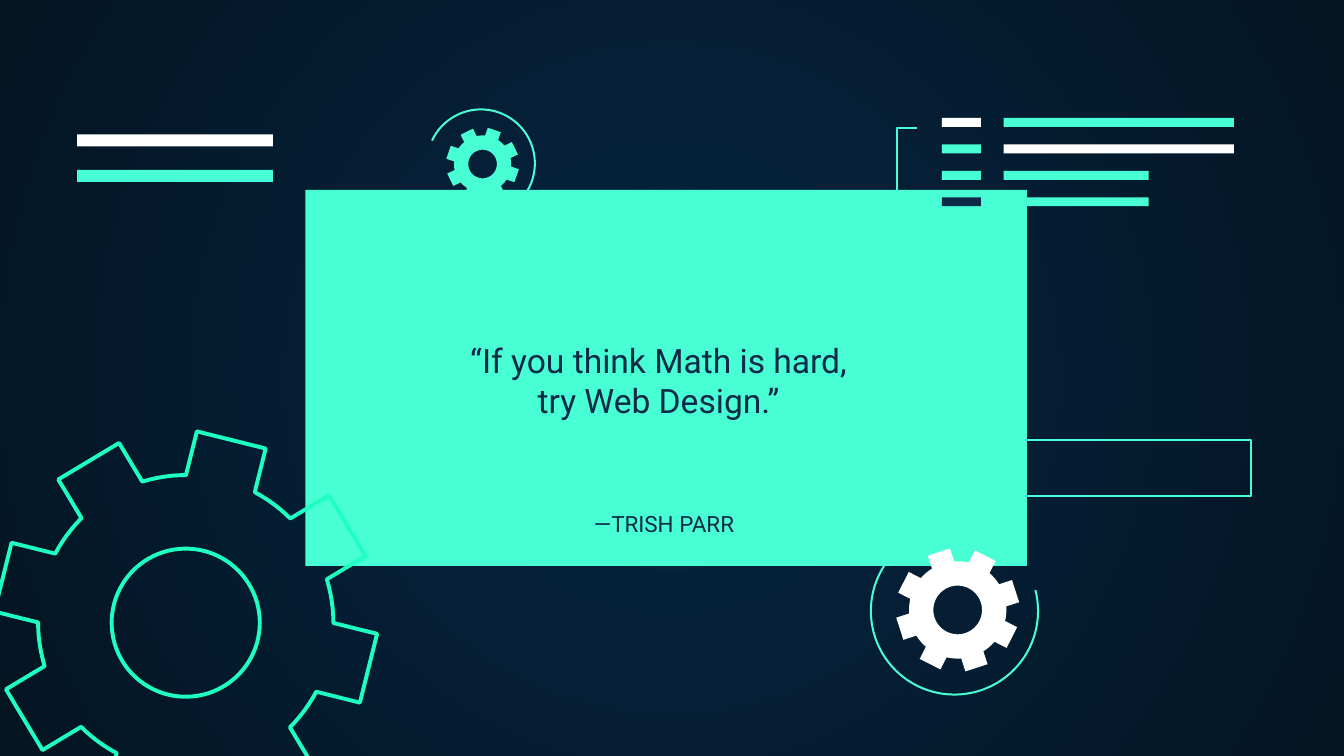
import math

from lxml import etree
from pptx import Presentation, util as u
from pptx.dml.color import RGBColor
from pptx.enum import shapes, text
from pptx.oxml.ns import qn

MINT, WHITE, NAVY, GREEN = "48FFD5", "FFFFFF", "0E2A47", "1EFFC1"
FONT = "Roboto"
THIN = 1.09


def colour(value):
    return RGBColor.from_string(value)


def paint(shape, fill=None, line=None, width=THIN):
    shape.shadow.inherit = False
    if fill:
        shape.fill.solid()
        shape.fill.fore_color.rgb = colour(fill)
    else:
        shape.fill.background()
    if line:
        shape.line.color.rgb = colour(line)
        shape.line.width = u.Pt(width)
    else:
        shape.line.fill.background()


def add_box(slide, left, top, width, height, **style):
    shape = slide.shapes.add_shape(
        shapes.MSO_SHAPE.RECTANGLE, u.Cm(left), u.Cm(top), u.Cm(width), u.Cm(height))
    paint(shape, **style)


def add_outline(slide, contours, close=True, **style):
    contours = [[(u.Cm(x), u.Cm(y)) for x, y in contour] for contour in contours]
    builder = slide.shapes.build_freeform(*contours[0][0], scale=1.0)
    builder.add_line_segments(contours[0][1:], close=close)
    for contour in contours[1:]:
        builder.move_to(*contour[0])
        builder.add_line_segments(contour[1:], close=close)
    paint(builder.convert_to_shape(), **style)


def add_arc(slide, centre_x, centre_y, radius, start, end):
    shape = slide.shapes.add_shape(
        shapes.MSO_SHAPE.ARC, u.Cm(centre_x - radius), u.Cm(centre_y - radius),
        u.Cm(2 * radius), u.Cm(2 * radius))
    # Angles are stored in 60000ths of a degree, adjustments in 100000ths
    shape.adjustments[0] = start * 0.6
    shape.adjustments[1] = end * 0.6
    paint(shape, line=MINT)


def add_gear(slide, centre_x, centre_y, tip, root, hole, tooth, turn, **style):
    """Eight square teeth; tip is the distance to the middle of a tooth's end."""
    def polar(radius, angle):
        return centre_x + radius * math.cos(angle), centre_y + radius * math.sin(angle)

    corner = math.hypot(tip, tooth / 2)
    tip_angle = math.atan2(tooth / 2, tip)
    root_angle = math.asin(tooth / 2 / root)
    gap = math.pi / 4 - 2 * root_angle
    rim = []
    for index in range(8):
        middle = math.radians(turn + 45 * index)
        rim += [polar(corner, middle - tip_angle), polar(corner, middle + tip_angle)]
        rim += [polar(root, middle + root_angle + gap * step / 6) for step in range(7)]
    bore = [polar(hole, -math.radians(4 * step)) for step in range(90)]
    add_outline(slide, [rim, bore], **style)


def add_background(slide):
    fill = slide.background.fill
    fill.gradient()
    for stop, position, value in zip(fill.gradient_stops, (0, 1), ("052643", "041523")):
        stop.position = position
        stop.color.rgb = colour(value)
    # Swap the linear direction for a circle from the centre
    gradient = slide.element.find(".//" + qn("a:gradFill"))
    linear = gradient.find(qn("a:lin"))
    if linear is not None:
        gradient.remove(linear)
    circle = etree.SubElement(gradient, qn("a:path"), {"path": "circle"})
    etree.SubElement(circle, qn("a:fillToRect"),
                     {side: "50000" for side in ("l", "t", "r", "b")})


def add_code_lines(slide, left, top):
    rows = [(WHITE, MINT, 4.35), (MINT, WHITE, 4.35), (MINT, MINT, 2.74), (NAVY, MINT, 2.74)]
    for index, (label, bar, length) in enumerate(rows):
        y = top + 0.5 * index
        add_box(slide, left, y, 0.74, 0.17, fill=label)
        add_box(slide, left + 1.17, y, length, 0.17, fill=bar)
    # Bracket to the left of the rows
    x, y = left - 0.85, top + 0.19
    add_outline(slide, [[(x + 0.39, y + 1.54), (x, y + 1.54), (x, y), (x + 0.38, y)]],
                close=False, line=MINT)


def add_title_bars(slide, left, top):
    for index, value in enumerate((WHITE, MINT)):
        add_box(slide, left, top + 0.67 * index, 3.7, 0.23, fill=value)


def add_text(slide, left, top, width, height, lines, size, anchor):
    shape = slide.shapes.add_textbox(u.Cm(left), u.Cm(top), u.Cm(width), u.Cm(height))
    frame = shape.text_frame
    frame.word_wrap = True
    frame.vertical_anchor = anchor
    frame.margin_left = frame.margin_right = u.Cm(0.25)
    frame.margin_top = frame.margin_bottom = u.Cm(0.25)
    paragraph = frame.paragraphs[0]
    paragraph.alignment = text.PP_ALIGN.CENTER
    for index, line in enumerate(lines):
        if index:
            paragraph.add_line_break()
        run = paragraph.add_run()
        run.text = line
        run.font.name = FONT
        run.font.size = u.Pt(size)
        run.font.color.rgb = colour(NAVY)


def add_quote(slide, left, top):
    add_text(slide, left, top, 9.8, 5.38, ["—TRISH PARR"], 12, text.MSO_ANCHOR.BOTTOM)
    add_text(slide, left, top + 1.14, 9.6, 3.94,
             ["“If you think Math is hard,", "try Web Design.”"], 18, text.MSO_ANCHOR.TOP)


def build_quote_slide(presentation):
    slide = presentation.slides.add_slide(presentation.slide_layouts[6])
    add_background(slide)

    # Quote panel
    add_box(slide, 5.77, 3.59, 13.64, 7.11, fill=MINT)

    # Arcs and gears
    add_arc(slide, 9.09, 3.09, 1.02, 205, 100)
    add_arc(slide, 18.04, 11.55, 1.58, 345.5, 233)
    add_gear(slide, 3.51, 11.77, 3.56, 2.79, 1.4, 1.34, -76, line=GREEN, width=2.1)
    add_gear(slide, 18.1, 11.53, 1.15, 0.92, 0.46, 0.44, -108, fill=WHITE)
    add_gear(slide, 9.12, 3.1, 0.68, 0.54, 0.27, 0.26, -71, fill=MINT)

    # Bars and frame
    add_code_lines(slide, 17.8, 2.23)
    add_title_bars(slide, 1.46, 2.54)
    add_box(slide, 18.29, 8.32, 5.36, 1.06, line=MINT)

    # Quote and author
    add_quote(slide, 7.65, 5.03)


def main():
    presentation = Presentation()
    presentation.slide_width = u.Cm(25.4)
    presentation.slide_height = u.Cm(14.29)
    build_quote_slide(presentation)
    presentation.save("out.pptx")


if __name__ == "__main__":
    main()
